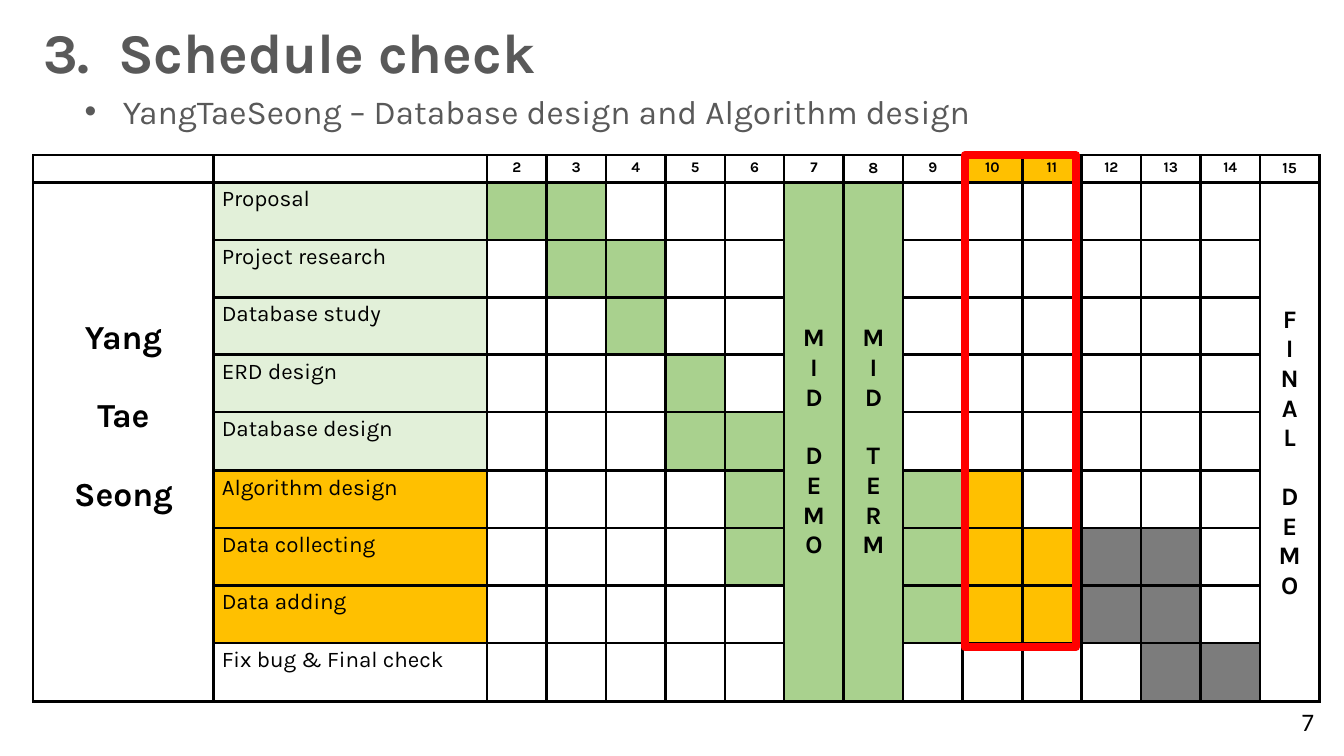
import pptx
import pptx.util
import pptx.dml.color
import pptx.enum.shapes
import pptx.enum.text
from dataclasses import dataclass, field
from lxml import etree
from pptx.oxml.ns import qn

SCALE = 9144  # EMU per px, 100 px to the inch
ALIGN = pptx.enum.text.PP_ALIGN
MIDDLE = pptx.enum.text.MSO_ANCHOR.MIDDLE


@dataclass(frozen=True)
class Theme:
    font: str = "Karla"
    plain: str = "Calibri"
    ink: str = "000000"
    gray: str = "595959"
    mark: str = "FF0000"
    fills: dict = field(default_factory=lambda: {
        ".": "FFFFFF", "l": "E2F0D9", "g": "A9D18E", "y": "FFC000", "k": "7C7C7C"})
    title: float = 40
    name: float = 24
    stack: float = 18
    task: float = 16
    week: float = 10.5
    major: float = 11
    thin: float = 1.98
    thick: float = 2.55


def px(num):
    return pptx.util.Emu(num * SCALE)


def rgb(code):
    return pptx.dml.color.RGBColor.from_string(code)


def write(frame, words, size, color, font, bold=False, align=ALIGN.LEFT,
          stack=False, gap=0):
    """Fill a frame with words, one letter to a line if stacked, gap points apart."""
    first = True
    for word in words:
        for pos, line in enumerate(word if stack else [word]):
            para = frame.paragraphs[0] if first else frame.add_paragraph()
            para.alignment = align
            if pos == 0 and not first:
                para.space_before = pptx.util.Pt(gap)
            run = para.add_run()
            run.text = line
            run.font.size = pptx.util.Pt(size)
            run.font.bold = bold
            run.font.name = font
            run.font.color.rgb = rgb(color)
            first = False


def edge(cell, side, width, color):
    line = etree.SubElement(cell._tc.get_or_add_tcPr(), qn("a:ln" + side),
                            w=str(pptx.util.Pt(width)))
    fill = etree.SubElement(line, qn("a:solidFill"))
    etree.SubElement(fill, qn("a:srgbClr"), val=color)


class Deck:
    def __init__(self, theme):
        self.theme = theme
        self.file = pptx.Presentation()
        self.file.slide_width, self.file.slide_height = px(1333), px(750)
        self.slide = self.file.slides.add_slide(self.file.slide_layouts[6])

    def text(self, box, words, size, color, font=None, wrap=True, bullet=False, **form):
        frame = self.slide.shapes.add_textbox(*map(px, box)).text_frame
        frame.word_wrap = wrap
        frame.auto_size = pptx.enum.text.MSO_AUTO_SIZE.SHAPE_TO_FIT_TEXT
        write(frame, words, size, color, font or self.theme.font, **form)
        if bullet:
            props = frame.paragraphs[0]._p.get_or_add_pPr()
            props.set("marL", str(px(38)))
            props.set("indent", str(px(-38)))
            etree.SubElement(props, qn("a:buFont"), typeface="Arial")
            etree.SubElement(props, qn("a:buChar"), char="•")

    def frame(self, box, color, width):
        shape = self.slide.shapes.add_shape(
            pptx.enum.shapes.MSO_SHAPE.RECTANGLE, *map(px, box))
        shape.shadow.inherit = False
        shape.fill.background()
        shape.line.color.rgb = rgb(color)
        shape.line.width = pptx.util.Pt(width)

    def table(self, box, widths, heights, codes, heavy):
        """Draw a grid coloured by code letters; heavy columns have a thick right edge."""
        look = self.theme
        grid = self.slide.shapes.add_table(len(heights), len(widths), *map(px, box)).table
        grid.first_row = grid.horz_banding = False
        for col, width in zip(grid.columns, widths):
            col.width = px(width)
        for row, height in zip(grid.rows, heights):
            row.height = px(height)
        for row, line in enumerate(codes):
            for col, code in enumerate(line):
                cell = grid.cell(row, col)
                cell.margin_left = cell.margin_right = px(8)
                cell.margin_top = cell.margin_bottom = px(4)
                for side in "LRTB":
                    bold = side == "L" and col - 1 in heavy or side == "R" and col in heavy
                    edge(cell, side, look.thick if bold else look.thin, look.ink)
                cell.fill.solid()
                cell.fill.fore_color.rgb = rgb(look.fills[code])
                etree.SubElement(cell.text_frame.paragraphs[0]._p, qn("a:endParaRPr"),
                                 sz=str(int(look.week * 100)))
        return grid

    def cell(self, cell, words, size, **form):
        write(cell.text_frame, words, size, self.theme.ink, self.theme.font, **form)

    def span(self, grid, col, words, size, top=4, bottom=4, **form):
        """Merge a column below the header and centre bold words in it."""
        cell = grid.cell(1, col)
        cell.merge(grid.cell(len(grid.rows) - 1, col))
        cell.margin_top, cell.margin_bottom = px(top), px(bottom)
        cell.vertical_anchor = MIDDLE
        self.cell(cell, words, size, bold=True, align=ALIGN.CENTER, **form)


TASKS = [  # name, its colour, colours of weeks 2 to 15
    ("Proposal", "l", "gg...gg......."),
    ("Project research", "l", ".gg..gg......."),
    ("Database study", "l", "..g..gg......."),
    ("ERD design", "l", "...g.gg......."),
    ("Database design", "l", "...gggg......."),
    ("Algorithm design", "y", "....ggggy....."),
    ("Data collecting", "y", "....ggggyykk.."),
    ("Data adding", "y", ".....gggyykk.."),
    ("Fix bug & Final check", ".", ".....gg....kk."),
]
WEEKS = range(2, 16)
EVENTS = {7: ["MID", "DEMO"], 8: ["MID", "TERM"], 15: ["FINAL", "DEMO"]}


def main():
    look = Theme()
    deck = Deck(look)
    deck.text((74, 85, 1259, 50), ["YangTaeSeong – Database design and Algorithm design"],
              look.name, look.gray, bullet=True)

    body, count = 515, len(TASKS)
    heights = [27] + [body * (n + 1) // count - body * n // count for n in range(count)]
    widths = [179, 271] + [59] * len(WEEKS)
    codes = ["..........yy...."] + ["." + tint + weeks for _, tint, weeks in TASKS]
    grid = deck.table((33, 154, sum(widths), sum(heights)), widths, heights, codes,
                      heavy=(4, 10))
    for col, week in enumerate(WEEKS, 2):
        deck.cell(grid.cell(0, col), [str(week)],
                  look.major if week in (8, 15) else look.week,
                  bold=True, align=ALIGN.CENTER)
        if week in EVENTS:
            deck.span(grid, col, EVENTS[week], look.stack, stack=True, gap=21,
                      top=26 if week == 15 else 4)
    for row, (task, _, _) in enumerate(TASKS, 1):
        deck.cell(grid.cell(row, 1), [task], look.task)
    deck.span(grid, 0, ["Yang", "Tae", "Seong"], look.name, bottom=54, gap=28)

    deck.text((1281, 696, 33, 40), ["7"], look.stack, look.ink, look.plain, wrap=False)
    deck.text((33, 12, 612, 77), ["3.  Schedule check"], look.title, look.gray, bold=True)
    deck.frame((957, 154, 110, 488), look.mark, 6)
    deck.file.save("out.pptx")


if __name__ == "__main__":
    main()
